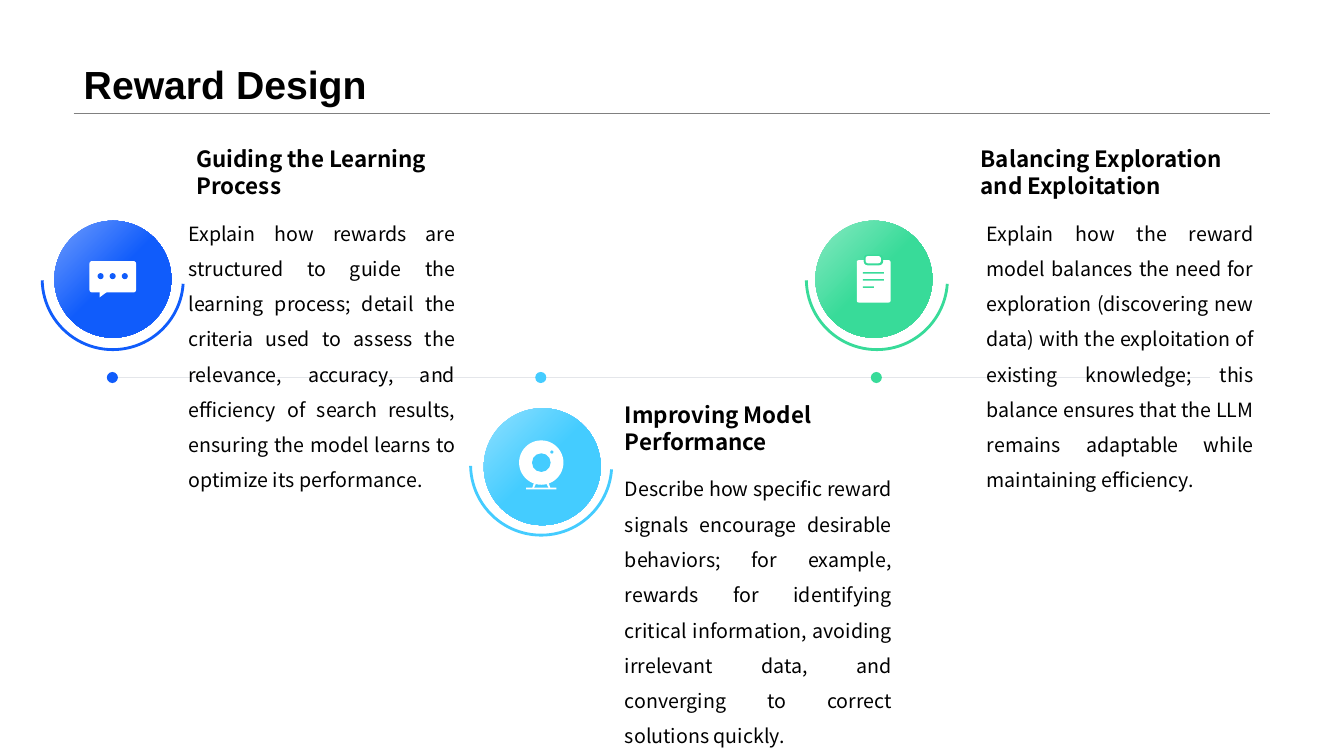
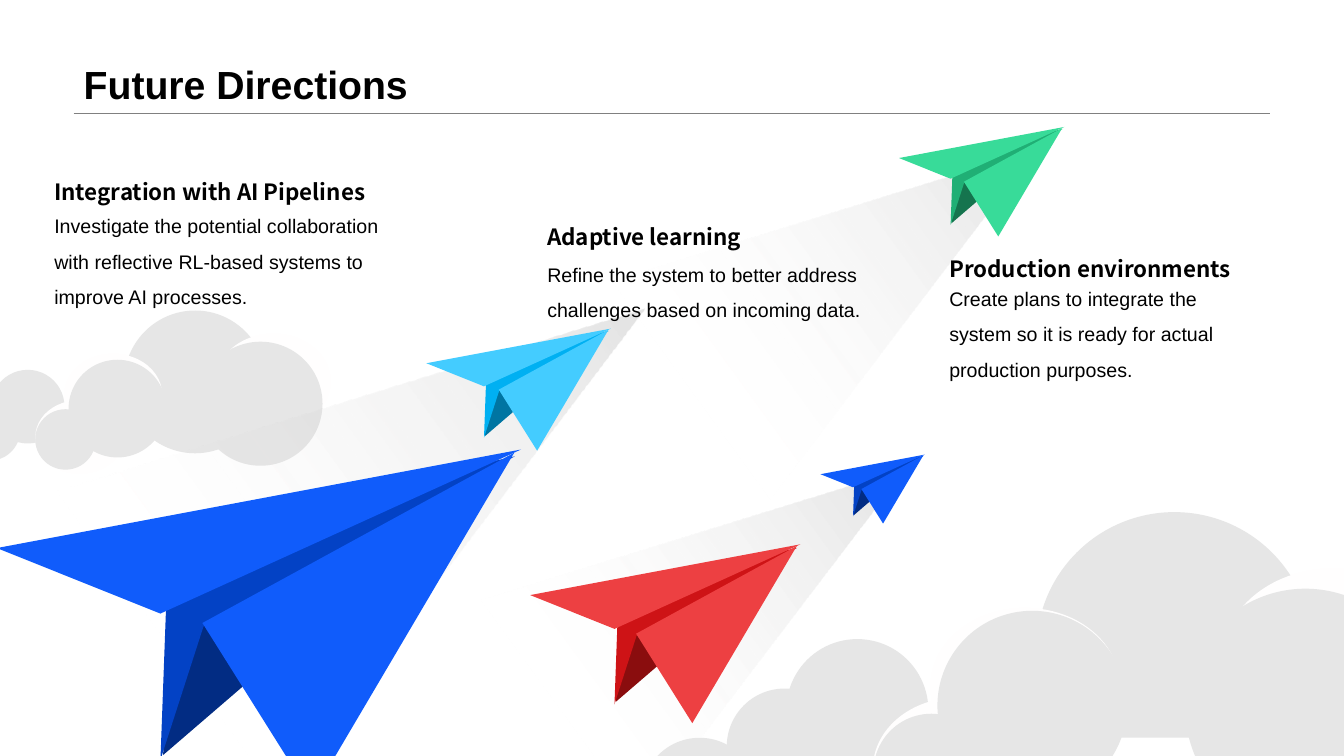
from dataclasses import dataclass
from typing import NamedTuple, Union

from lxml.etree import SubElement
from pptx import Presentation
from pptx.dml.color import RGBColor
from pptx.enum.shapes import MSO_CONNECTOR, MSO_SHAPE
from pptx.enum.text import MSO_ANCHOR, MSO_AUTO_SIZE, PP_ALIGN
from pptx.oxml.ns import qn
from pptx.util import Pt

WIDTH, HEIGHT = 960, 540
BLACK, WHITE, MIST, CLOUD = "000000", "FFFFFF", "FFFEFE", "E6E6E6"
BLUE, SKY, GREEN, RED = "105CFB", "44CCFF", "38DB99", "ED4042"
RULE, AXIS, TRAIL = "808080", "E4E6EA", "808080"
SANS, NOTO = "Arial", "Noto Sans CJK SC"

TITLE_FONT = {"name": SANS, "size": Pt(28), "bold": True}
HEAD_FONT = {"name": NOTO, "size": Pt(16), "bold": True}
NOTO_BODY = {"name": NOTO, "size": Pt(14), "bold": False}
SANS_BODY = {"name": SANS, "size": Pt(14), "bold": False}
HEAD_PARA = {"alignment": PP_ALIGN.LEFT}
TITLE_PARA = {"alignment": PP_ALIGN.LEFT, "line_spacing": 0.9}
JUSTIFIED = {"alignment": PP_ALIGN.JUSTIFY, "line_spacing": 1.5}
RAGGED = {"alignment": PP_ALIGN.LEFT, "line_spacing": 1.5}
WIDE_INSET, NARROW_INSET = (8.64, 8.64), (7.2, 3.6)

Points = list[tuple[float, float]]


class Box(NamedTuple):
    x: float
    y: float
    w: float
    h: float


class Mark(NamedTuple):
    kind: MSO_SHAPE
    box: Box
    accent: bool = False
    radius: float = 0.08


class Outline(NamedTuple):
    points: Points
    accent: bool = False


Icon = list[Union[Mark, Outline]]


@dataclass
class Milestone:
    head: str
    body: str
    head_x: float
    body_x: float
    head_y: float
    disc: tuple[float, float]
    arc: tuple[float, float]
    dot_x: float
    color: str
    light: str
    icon: Icon


class Plane(NamedTuple):
    x: float
    y: float
    w: float
    light: str
    mid: str
    dark: str


class Puff(NamedTuple):
    box: Box
    color: str = CLOUD
    cut_angle: float = 0


class Direction(NamedTuple):
    head: str
    body: str
    x: float
    head_y: float
    body_y: float
    w: float


OVAL, ROUND, RECT = MSO_SHAPE.OVAL, MSO_SHAPE.ROUNDED_RECTANGLE, MSO_SHAPE.RECTANGLE

CHAT: Icon = [
    Mark(ROUND, Box(25, 28.8, 33.3, 22.4)),
    Outline([(32.3, 51), (37.3, 51), (32.3, 54.7)]),
    *(Mark(OVAL, Box(30.8 + 8.65 * i, 37.4, 4.3, 4.3), True) for i in range(3)),
]
WEBCAM: Icon = [
    Outline([(36, 52.6), (46.1, 52.6), (47.5, 56.9), (34.6, 56.9)]),
    Outline([(37.4, 53.8), (44.6, 53.8), (46.1, 56.9), (36, 56.9)], True),
    Mark(OVAL, Box(25.2, 23, 31.7, 31.7)),
    Mark(OVAL, Box(34.4, 32.2, 13.3, 13.3), True),
    Mark(OVAL, Box(47.5, 30.2, 2.2, 2.2), True),
    Mark(RECT, Box(30.2, 56.8, 21.6, 1.2)),
]
CLIPBOARD: Icon = [
    Mark(ROUND, Box(29.5, 28.1, 24.2, 30.3), radius=0.06),
    Mark(ROUND, Box(34.5, 24.2, 13.8, 7.6), True, 0.35),
    Mark(ROUND, Box(35.8, 25.2, 11, 5.2), radius=0.35),
    *(Mark(RECT, Box(33.8, 36.7 + 5.05 * i, w, 1.1), True)
      for i, w in enumerate((15.1, 15.1, 7.9))),
]

MILESTONES = [
    Milestone("Guiding the Learning Process",
              "Explain how rewards are structured to guide the learning process; detail the "
              "criteria used to assess the relevance, accuracy, and efficiency of search "
              "results, ensuring the model learns to optimize its performance.",
              131.8, 126, 113.8, (38.9, 157.7), (30.2, 149), 76.3, BLUE, "709DFD", CHAT),
    Milestone("Improving Model Performance",
              "Describe how specific reward signals encourage desirable behaviors; for "
              "example, rewards for identifying critical information, avoiding irrelevant "
              "data, and converging to correct solutions quickly.",
              437.8, 437.8, 296.6, (345.6, 291.6), (336.2, 281.5), 382.3, SKY, "8FE0FF",
              WEBCAM),
    Milestone("Balancing Exploration and Exploitation",
              "Explain how the reward model balances the need for exploration (discovering "
              "new data) with the exploitation of existing knowledge; this balance ensures "
              "that the LLM remains adaptable while maintaining efficiency.",
              691.9, 696.2, 113.8, (582.5, 157.7), (576, 149), 622, GREEN, "88E9C2",
              CLIPBOARD),
]

WING = [(0, 18.8), (31.2, 31.3), (100, 0)]
FLAP = [(39.2, 33.1), (98.7, 0.6), (60, 66.2)]
FOLD = [(32.3, 29.4), (31.2, 59.2), (39.4, 33.8), (98.8, 1.3), (76.5, 6.3)]
UNDERSIDE = [(33.5, 31.3), (31.7, 58.3), (97.7, 1.5)]
TRAIL_SHAPE = [(100, 0), (32, 89.5), (0, 31)]
TRAILS = [(424.4, 106.6, 315.4), (331.2, 334.8, 315.4), (23, 220.3, 437)]

PLANES = [
    Plane(-2.2, 321.1, 374.4, BLUE, "0342C5", "022C83"),
    Plane(378.7, 388.8, 193, RED, "CE1316", "8A0D0E"),
    Plane(304.6, 234.7, 131.8, SKY, "00B0F2", "0075A2"),
    Plane(642.2, 90.7, 118.1, GREEN, "20AF75", "15744E"),
]
SMALL_PLANE = Plane(586.1, 324.7, 74.5, BLUE, "0342C5", "022C83")

LEFT_CLOUD = [
    Puff(Box(-6.5, 264.2, 52.6, 52.6)),
    Puff(Box(-28.8, 285.8, 43.2, 43.2)),
    Puff(Box(88.6, 221.8, 101.5, 102)),
    Puff(Box(46.1, 252.7, 69.8, 58.3), MIST),
    Puff(Box(25.2, 285.8, 63.4, 52.6), MIST),
    Puff(Box(49, 257, 69.8, 69.8)),
    Puff(Box(25.2, 292.3, 43.2, 43.2)),
    Puff(Box(154.1, 238.3, 82.1, 68.4), MIST),
    Puff(Box(141.8, 244.1, 88.6, 88.6)),
]
RIGHT_CLOUD = [
    Puff(Box(561.6, 456.5, 101.5, 101.5)),
    Puff(Box(519.1, 491.8, 82.8, 82.8)),
    Puff(Box(740.2, 365.8, 197.3, 197.3), cut_angle=39.3),
    Puff(Box(458.3, 527, 82.8, 82.8)),
    Puff(Box(664.6, 434.2, 135.4, 112.3), MIST),
    Puff(Box(623.5, 498.2, 121.9, 101.6), MIST),
    Puff(Box(669.6, 436.3, 135.4, 135.4)),
    Puff(Box(623.9, 509.8, 82.8, 82.8)),
    Puff(Box(872.6, 406.1, 158.4, 131.8), MIST),
    Puff(Box(846.7, 420.5, 171.4, 171.4)),
]

DIRECTIONS = [
    Direction("Production environments",
              "Create plans to integrate the system so it is ready for actual production "
              "purposes.", 671, 178.6, 193, 231),
    Direction("Adaptive learning",
              "Refine the system to better address challenges based on incoming data.",
              383.8, 155.5, 175.7, 243.4),
    Direction("Integration with AI Pipelines",
              "Investigate the potential collaboration with reflective RL-based systems to "
              "improve AI processes.", 31.7, 123.1, 141.1, 258.5),
]


def rgb(color: str) -> RGBColor:
    return RGBColor.from_string(color)


def assign(target, values: dict) -> None:
    for name, value in values.items():
        setattr(target, name, value)


def paint(sp, color: str) -> None:
    sp.shadow.inherit = False
    sp.fill.solid()
    sp.fill.fore_color.rgb = rgb(color)
    sp.line.fill.background()


def fade(sp, stops: list[tuple[float, str]], angle: float) -> None:
    sp.fill.gradient()
    sp.fill.gradient_angle = angle
    for stop, (position, color) in zip(sp.fill.gradient_stops, stops):
        stop.position = position
        stop.color.rgb = rgb(color)


def shape(s, kind: MSO_SHAPE, box: Box, color: str):
    sp = s.shapes.add_shape(kind, *map(Pt, box))
    paint(sp, color)
    return sp


def polygon(s, points: Points, color: str):
    corners = [(Pt(x), Pt(y)) for x, y in points]
    fb = s.shapes.build_freeform(*corners[0])
    fb.add_line_segments(corners[1:], close=True)
    sp = fb.convert_to_shape()
    paint(sp, color)
    return sp


def line(s, x1: float, x2: float, y: float, color: str, width: float) -> None:
    cn = s.shapes.add_connector(MSO_CONNECTOR.STRAIGHT, Pt(x1), Pt(y), Pt(x2), Pt(y))
    cn.line.color.rgb = rgb(color)
    cn.line.width = Pt(width)
    SubElement(cn._element.spPr, qn("a:effectLst"))


def write(tf, words: str, font: dict, para: dict) -> None:
    p = tf.paragraphs[0]
    assign(p, para)
    r = p.add_run()
    r.text = words
    assign(r.font, font)
    r.font.color.rgb = rgb(BLACK)


def text(s, box: Box, words: str, font: dict, para: dict,
         inset: tuple[float, float], anchor=MSO_ANCHOR.TOP) -> None:
    tf = s.shapes.add_textbox(*map(Pt, box)).text_frame
    dx, dy = map(Pt, inset)
    assign(tf, {"word_wrap": True, "auto_size": MSO_AUTO_SIZE.SHAPE_TO_FIT_TEXT,
                "vertical_anchor": anchor, "margin_left": dx, "margin_right": dx,
                "margin_top": dy, "margin_bottom": dy})
    write(tf, words, font, para)


def new_slide(prs, title: str):
    s = prs.slides.add_slide(prs.slide_layouts[5])
    sp = s.shapes.title
    assign(sp, dict(zip(("left", "top", "width", "height"), map(Pt, (52.6, 0, 854.6, 80.6)))))
    assign(sp.text_frame, {"vertical_anchor": MSO_ANCHOR.BOTTOM, "word_wrap": True,
                           "auto_size": MSO_AUTO_SIZE.NONE})
    write(sp.text_frame, title, TITLE_FONT, TITLE_PARA)
    line(s, 52.6, 907.2, 80.8, RULE, 0.25)
    return s


def draw_icon(s, m: Milestone) -> None:
    dx, dy = m.disc
    for part in m.icon:
        color = m.color if part.accent else WHITE
        if isinstance(part, Outline):
            polygon(s, [(dx + x, dy + y) for x, y in part.points], color)
            continue
        x, y, w, h = part.box
        sp = shape(s, part.kind, Box(dx + x, dy + y, w, h), color)
        if part.kind == ROUND:
            sp.adjustments[0] = part.radius


def draw_milestone(s, m: Milestone) -> None:
    text(s, Box(m.head_x, m.head_y, 208, 36.7), m.head, HEAD_FONT, HEAD_PARA,
         WIDE_INSET, MSO_ANCHOR.BOTTOM)
    text(s, Box(m.body_x, m.head_y + 27.3, 208, 243), m.body, NOTO_BODY, JUSTIFIED,
         WIDE_INSET)
    arc = s.shapes.add_shape(MSO_SHAPE.ARC, *map(Pt, (*m.arc, 100.8, 100.8)))
    arc.shadow.inherit = False
    arc.adjustments[0], arc.adjustments[1] = 2.32, 107.41
    arc.fill.background()
    arc.line.color.rgb = rgb(m.color)
    arc.line.width = Pt(2)
    disc = shape(s, OVAL, Box(*m.disc, 83.5, 83.5), m.color)
    fade(disc, [(0, m.light), (0.5, m.color)], 315)
    shape(s, OVAL, Box(m.dot_x, 265.7, 7.9, 7.9), m.color)
    draw_icon(s, m)


def scaled(points: Points, x: float, y: float, w: float) -> Points:
    return [(x + w * px / 100, y + w * py / 100) for px, py in points]


def draw_trail(s, x: float, y: float, w: float) -> None:
    sp = polygon(s, scaled(TRAIL_SHAPE, x, y, w), MIST)
    fade(sp, [(0.28, MIST), (1, TRAIL)], 36)
    for clr, alpha in zip(sp._element.spPr.iter(qn("a:srgbClr")), (0, 22000)):
        SubElement(clr, qn("a:alpha")).set("val", str(alpha))


def draw_plane(s, plane: Plane) -> None:
    for points, color in ((UNDERSIDE, plane.dark), (FOLD, plane.mid),
                          (WING, plane.light), (FLAP, plane.light)):
        polygon(s, scaled(points, plane.x, plane.y, plane.w), color)


def draw_puff(s, puff: Puff) -> None:
    sp = shape(s, MSO_SHAPE.CHORD if puff.cut_angle else OVAL, puff.box, puff.color)
    if puff.cut_angle:
        sp.adjustments[0] = 0.6 * (180 - puff.cut_angle)
        sp.adjustments[1] = 0.6 * puff.cut_angle


def reward_design(prs) -> None:
    s = new_slide(prs, "Reward Design")
    line(s, 77.8, 864, 269.8, AXIS, 0.75)
    for m in MILESTONES:
        draw_milestone(s, m)


def future_directions(prs) -> None:
    s = new_slide(prs, "Future Directions")
    for puff in LEFT_CLOUD:
        draw_puff(s, puff)
    for trail in TRAILS:
        draw_trail(s, *trail)
    for plane in PLANES:
        draw_plane(s, plane)
    for puff in RIGHT_CLOUD:
        draw_puff(s, puff)
    draw_plane(s, SMALL_PLANE)
    for d in DIRECTIONS:
        text(s, Box(d.x, d.head_y, d.w, 26.6), d.head, HEAD_FONT, HEAD_PARA,
             NARROW_INSET, MSO_ANCHOR.BOTTOM)
        text(s, Box(d.x, d.body_y, d.w, 80.6), d.body, SANS_BODY, RAGGED, NARROW_INSET)


def main() -> None:
    prs = Presentation()
    prs.slide_width, prs.slide_height = Pt(WIDTH), Pt(HEIGHT)
    reward_design(prs)
    future_directions(prs)
    prs.save("out.pptx")


if __name__ == "__main__":
    main()
